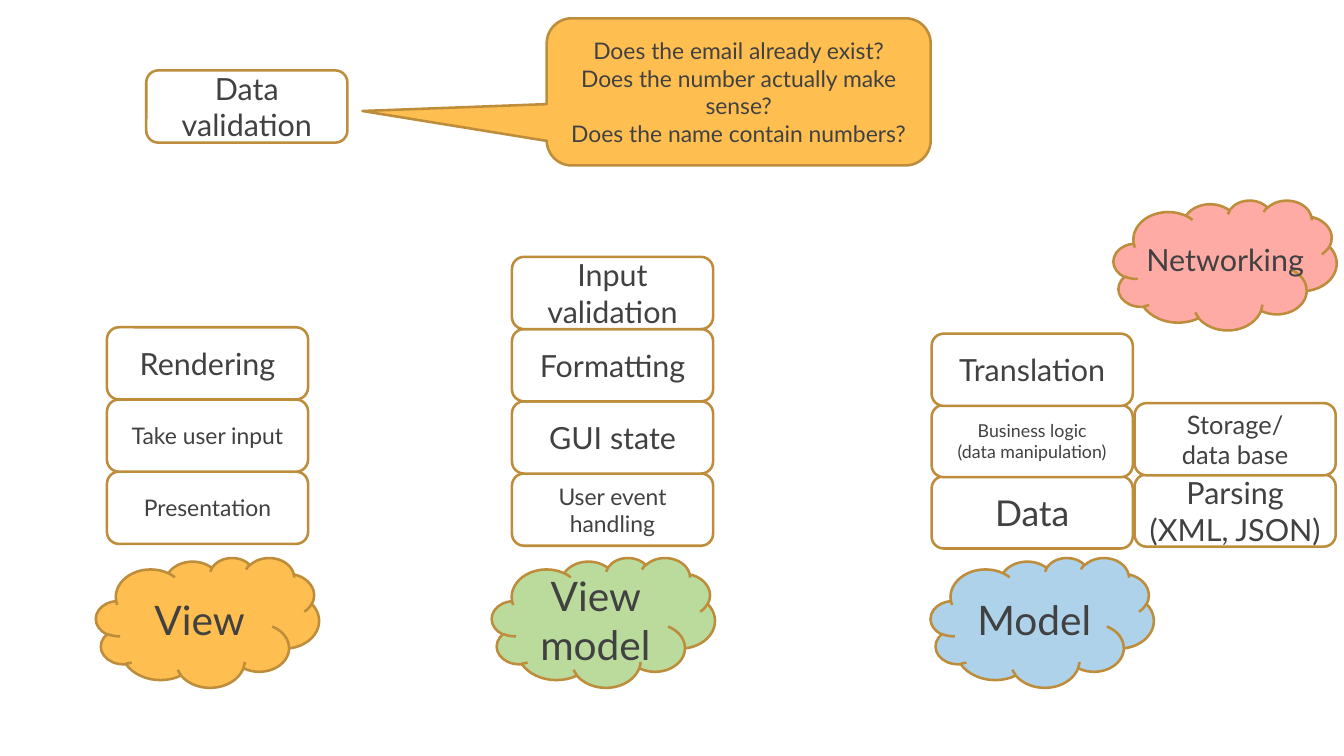
from pptx import Presentation
from pptx.dml.color import RGBColor
from pptx.enum.shapes import MSO_SHAPE as SHAPE
from pptx.enum.text import MSO_ANCHOR as ANCHOR, PP_ALIGN as ALIGN
from pptx.util import Inches, Pt

COLORS = {
    "text": "414141", "line": "BD8D3B", "white": "FFFFFF", "orange": "FFBE50",
    "green": "BADB9C", "blue": "AED2EA", "pink": "FFABA5",
}
BOX_W, BOX_H = 2.2, 0.79
CLOUD_W, CLOUD_H = 2.44, 1.42

prs = Presentation()
prs.slide_width, prs.slide_height = Inches(14.7), Inches(8.27)
s = prs.slides.add_slide(prs.slide_layouts[6])


def add_node(kind, left, top, width, height, fill, lines=(), size=24):
    """Add an outlined shape with centred lines; a fill of None leaves only the text."""
    sp = s.shapes.add_shape(kind, Inches(left), Inches(top), Inches(width), Inches(height))
    sp.shadow.inherit = False
    if fill:
        sp.fill.solid()
        sp.fill.fore_color.rgb = RGBColor.from_string(COLORS[fill])
        sp.line.color.rgb = RGBColor.from_string(COLORS["line"])
        sp.line.width = Pt(2)
    else:
        sp.fill.background()
        sp.line.fill.background()
    tf = sp.text_frame
    tf.word_wrap = True
    tf.vertical_anchor = ANCHOR.MIDDLE
    for i, line in enumerate(lines):
        p = tf.paragraphs[0] if i == 0 else tf.add_paragraph()
        p.alignment = ALIGN.CENTER
        r = p.add_run()
        r.text = line
        for name, value in {"name": "Lato", "size": Pt(size)}.items():
            setattr(r.font, name, value)
        r.font.color.rgb = RGBColor.from_string(COLORS["text"])
    return sp


# Clouds naming the three layers, and the one for networking
add_node(SHAPE.CLOUD, 12.18, 2.19, CLOUD_W, CLOUD_H, "pink")
for left, fill, label in [
    (1.05, "orange", "View"),
    (5.38, "green", "View model"),
    (10.18, "blue", "Model"),
]:
    add_node(SHAPE.CLOUD, left, 6.1, CLOUD_W, CLOUD_H, fill, [label], 32)

# Stacks of responsibilities: left, top of lowest box, pitch, boxes from the bottom up
stacks = [
    (1.17, 5.16, 0.79, [
        (["Presentation"], 18),
        (["Take user input"], 18),
        (["Rendering"], 24),
    ]),
    (5.6, 5.18, 0.79, [
        (["User event handling"], 18),
        (["GUI state"], 24),
        (["Formatting"], 24),
        (["Input validation"], 24),
    ]),
    (10.19, 5.21, 0.78, [
        (["Data"], 28),
        (["Business logic", "(data manipulation)"], 14),
        (["Translation"], 24),
    ]),
    (12.41, 5.19, 0.78, [
        (["Parsing (XML, JSON)"], 24),
        (["Storage/", "data base"], 20),
    ]),
]
for left, bottom, pitch, boxes in stacks:
    for level, (lines, size) in enumerate(boxes):
        add_node(SHAPE.ROUNDED_RECTANGLE, left, bottom - level * pitch,
                 BOX_W, BOX_H, "white", lines, size)

add_node(SHAPE.ROUNDED_RECTANGLE, 12.3, 2.44, BOX_W, BOX_H, None, ["Networking"])

# Data validation and the questions it asks
questions = [
    "Does the email already exist?",
    "Does the number actually make sense?",
    "Does the name contain numbers?",
]
callout = add_node(SHAPE.ROUNDED_RECTANGULAR_CALLOUT, 5.98, 0.2, 4.2, 1.61,
                   "orange", questions, 18)
for i, value in enumerate([-0.98, 0.13, 0.17]):
    callout.adjustments[i] = value
add_node(SHAPE.ROUNDED_RECTANGLE, 1.6, 0.77, BOX_W, BOX_H, "white", ["Data validation"])

prs.save("out.pptx")
